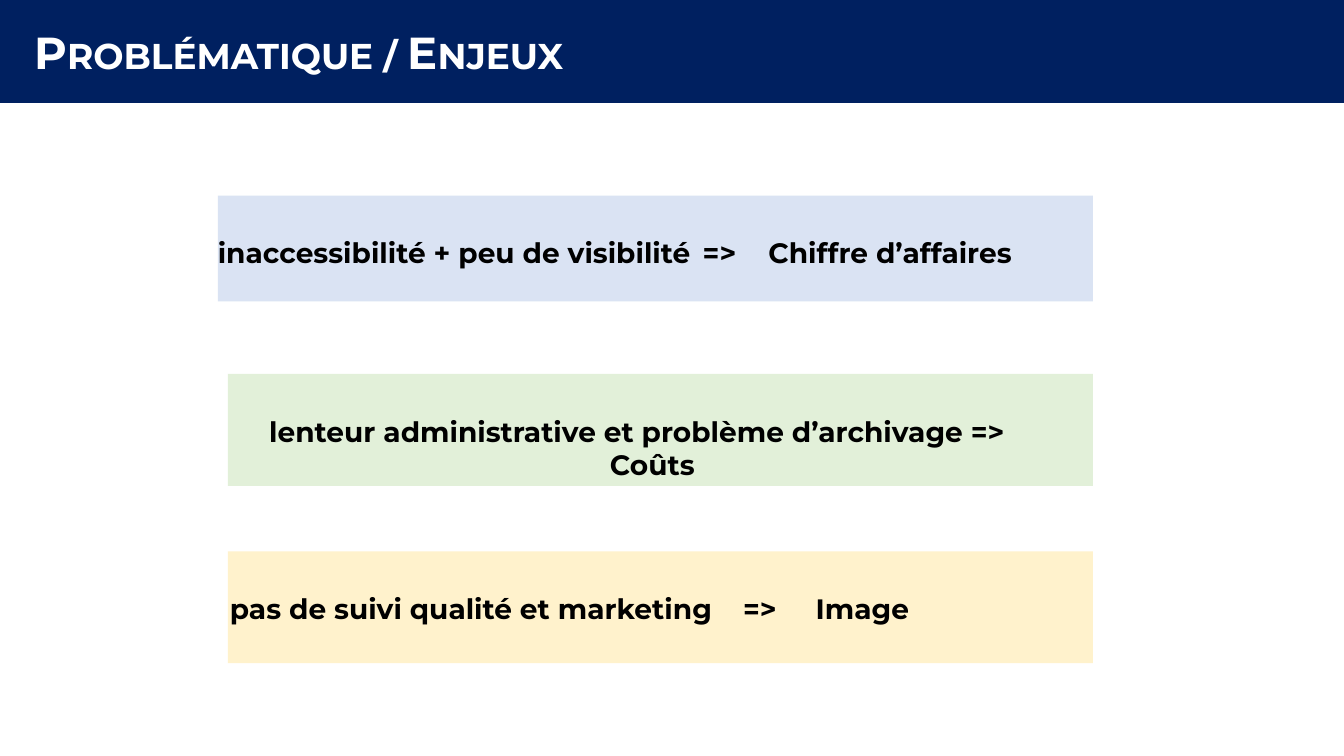
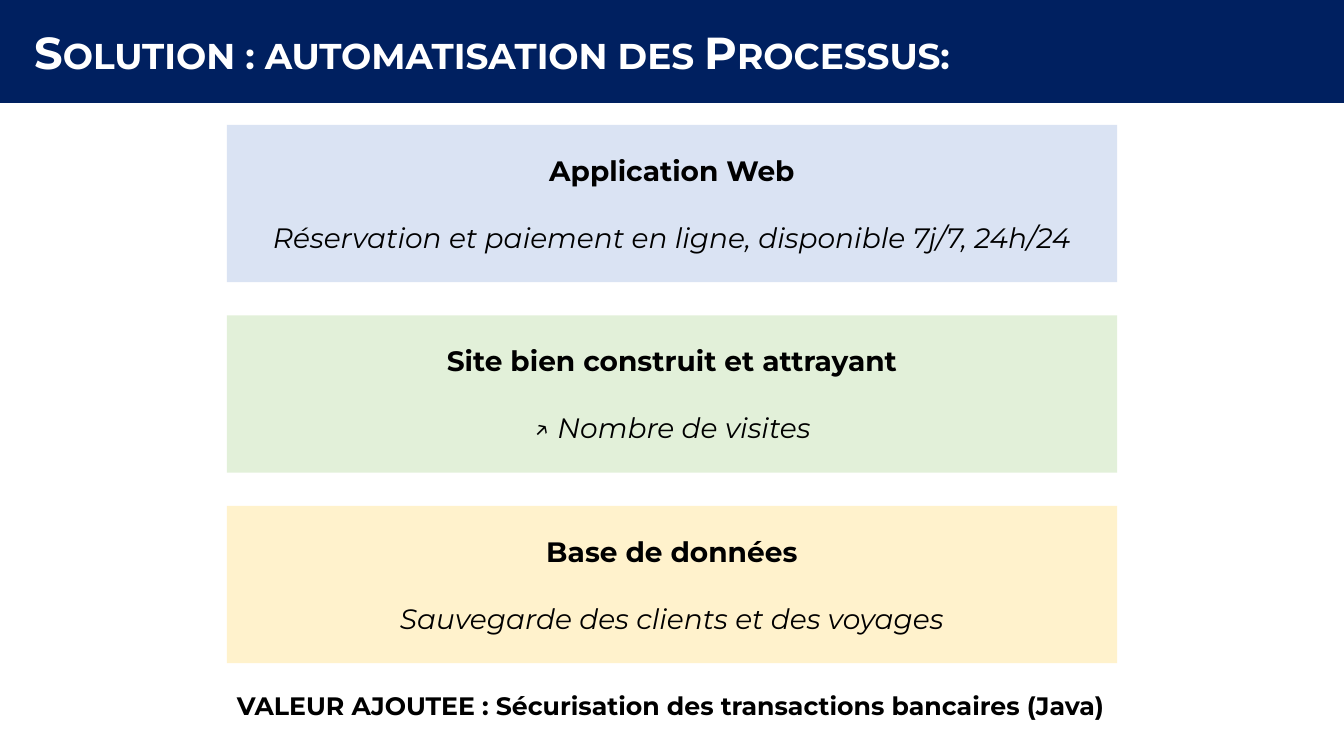
from lxml import etree
from pptx import Presentation
from pptx.dml.color import RGBColor
from pptx.enum.shapes import MSO_SHAPE
from pptx.enum.text import MSO_ANCHOR, PP_ALIGN
from pptx.oxml.ns import qn
from pptx.util import Inches, Pt

FONT = "Montserrat"
COLORS = {
    "navy": "002060",
    "blue": "DAE3F3",
    "green": "E2F0D9",
    "yellow": "FFF2CC",
    "white": "FFFFFF",
    "black": "000000",
}


def add_block(slide, left, top, width, height, fill):
    """Add a borderless rectangle without text insets and return it."""
    shape = slide.shapes.add_shape(
        MSO_SHAPE.RECTANGLE, Inches(left), Inches(top), Inches(width), Inches(height)
    )
    shape.shadow.inherit = False
    shape.fill.solid()
    shape.fill.fore_color.rgb = RGBColor.from_string(COLORS[fill])
    shape.line.fill.background()
    frame = shape.text_frame
    frame.word_wrap = True
    frame.margin_left = frame.margin_right = frame.margin_top = frame.margin_bottom = 0
    return shape


def style_paragraph(paragraph, size, color="black", bold=True, align=PP_ALIGN.LEFT):
    paragraph.alignment = align
    font = paragraph.font
    font.name = FONT
    font.size = Pt(size)
    font.bold = bold
    font.color.rgb = RGBColor.from_string(COLORS[color])


presentation = Presentation()
presentation.slide_width = Inches(13.33)
presentation.slide_height = Inches(7.5)

# Slides with their title bands
slides = []
for title in ("Problématique / Enjeux", "Solution : automatisation des Processus:"):
    slide = presentation.slides.add_slide(presentation.slide_layouts[6])
    band = add_block(slide, 0, 0, 13.33, 1.02, "navy")
    frame = band.text_frame
    frame.margin_left = Inches(0.34)
    frame.vertical_anchor = MSO_ANCHOR.MIDDLE
    paragraph = frame.paragraphs[0]
    run = paragraph.add_run()
    run.text = title
    run.font._element.set("cap", "small")
    style_paragraph(paragraph, 32, "white")
    slides.append(slide)
issues_slide, solution_slide = slides

# Issues: left, top, height, fill, text indent, text, tab stops
issues = [
    (2.16, 1.94, 1.05, "blue", 0,
     "inaccessibilité + peu de visibilité\t=>\tChiffre d’affaires", (4.81, 5.46)),
    (2.26, 3.71, 1.11, "green", 0.41,
     "lenteur administrative et problème d’archivage =>\v\tCoûts", (3.38,)),
    (2.26, 5.47, 1.11, "yellow", 0.02,
     "pas de suivi qualité et marketing\t=>\tImage", (5.09, 5.81)),
]
issues_right = 10.84
for left, top, height, fill, indent, text, stops in issues:
    block = add_block(issues_slide, left, top, issues_right - left, height, fill)
    frame = block.text_frame
    frame.margin_left = Inches(indent)
    frame.margin_top = Inches(0.4)
    frame.vertical_anchor = MSO_ANCHOR.TOP
    paragraph = frame.paragraphs[0]
    paragraph.text = text
    tab_list = etree.SubElement(paragraph._p.get_or_add_pPr(), qn("a:tabLst"))
    for stop in stops:
        etree.SubElement(tab_list, qn("a:tab"), pos=str(Inches(stop)), algn="l")
    style_paragraph(paragraph, 20)

# Solution: three evenly spaced blocks
solutions = [
    ("blue", "Application Web", "Réservation et paiement en ligne, disponible 7j/7, 24h/24"),
    ("green", "Site bien construit et attrayant", "↗ Nombre de visites"),
    ("yellow", "Base de données", "Sauvegarde des clients et des voyages"),
]
for index, (fill, heading, detail) in enumerate(solutions):
    block = add_block(solution_slide, 2.25, 1.24 + 1.89 * index, 8.83, 1.56, fill)
    frame = block.text_frame
    frame.vertical_anchor = MSO_ANCHOR.MIDDLE
    heading_paragraph = frame.paragraphs[0]
    heading_paragraph.text = heading
    style_paragraph(heading_paragraph, 20, align=PP_ALIGN.CENTER)
    detail_paragraph = frame.add_paragraph()
    detail_paragraph.text = detail
    detail_paragraph.space_before = Pt(24)
    style_paragraph(detail_paragraph, 20, bold=False, align=PP_ALIGN.CENTER)
    detail_paragraph.font.italic = True

added_value = solution_slide.shapes.add_textbox(
    Inches(2.25), Inches(6.8), Inches(9.85), Inches(0.4)
)
added_value.text_frame.word_wrap = True
paragraph = added_value.text_frame.paragraphs[0]
paragraph.text = "VALEUR AJOUTEE : Sécurisation des transactions bancaires (Java)"
style_paragraph(paragraph, 18)

presentation.save("out.pptx")
